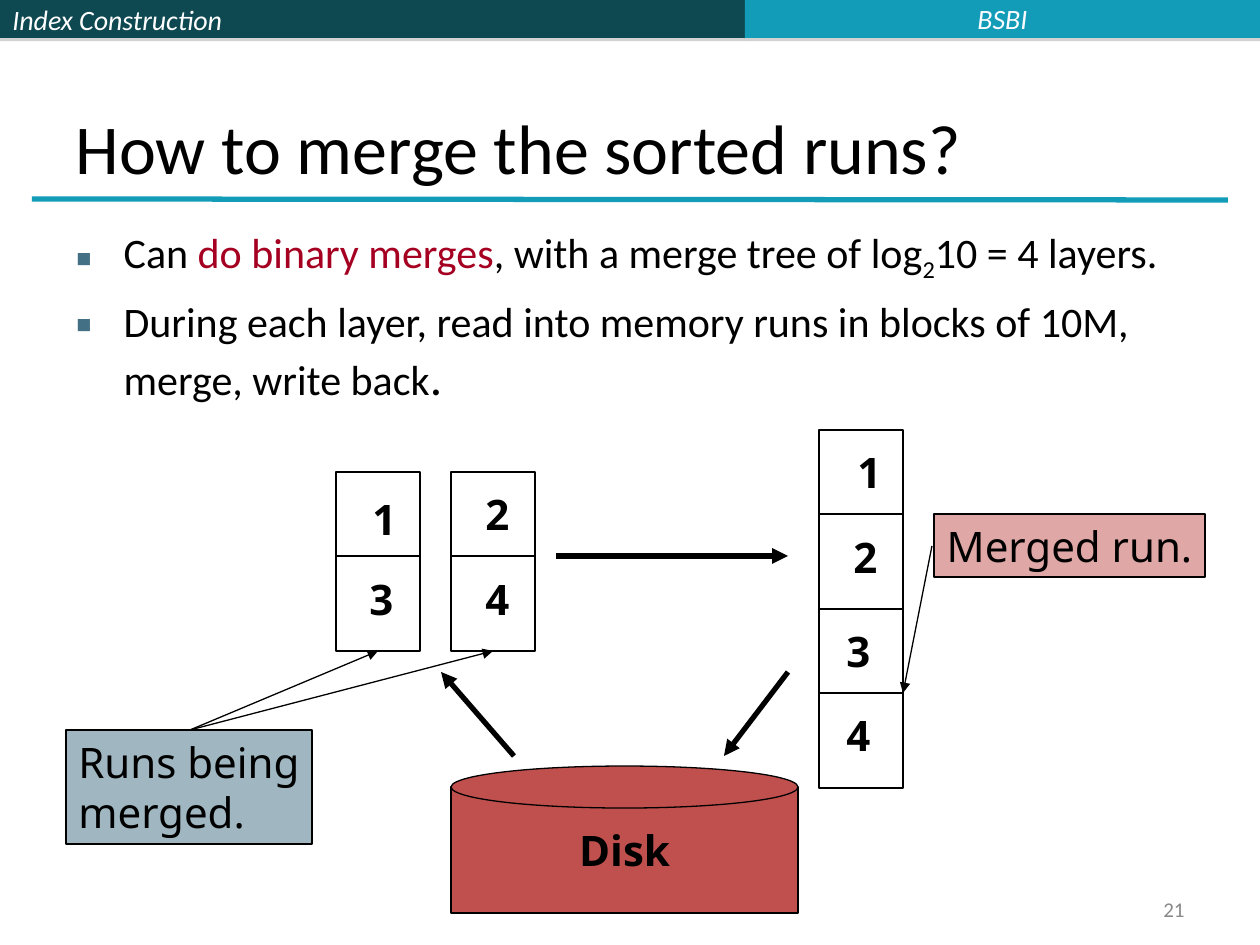
from lxml import etree
from pptx import Presentation
from pptx.dml.color import RGBColor
from pptx.enum.shapes import MSO_CONNECTOR, MSO_SHAPE
from pptx.enum.text import MSO_ANCHOR, MSO_AUTO_SIZE, PP_ALIGN
from pptx.oxml.ns import qn
from pptx.util import Emu, Pt

RECTANGLE, OVAL = MSO_SHAPE.RECTANGLE, MSO_SHAPE.OVAL
STRAIGHT = MSO_CONNECTOR.STRAIGHT
LEFT, CENTER, RIGHT = PP_ALIGN.LEFT, PP_ALIGN.CENTER, PP_ALIGN.RIGHT
MIDDLE, TOP, BOTTOM = MSO_ANCHOR.MIDDLE, MSO_ANCHOR.TOP, MSO_ANCHOR.BOTTOM
NO_AUTOFIT = MSO_AUTO_SIZE.NONE

BLACK, WHITE, GREY = "000000", "FFFFFF", "898989"
DARK_TEAL, TEAL, SLATE = "0E4851", "139CB7", "437085"
RED, CRIMSON, HEADER_TEXT = "C0504D", "A50021", "FBFCFF"
HEADING_FONT, DIAGRAM_FONT = "Calibri", "Noto Sans"

# Content; lengths are px, 126 to the inch
TITLE = "How to merge the sorted runs?"
BULLETS = [  # paragraphs of (text, size, colour, baseline in 1/1000 %)
    [("Can ", 24, BLACK, 0), ("do binary merges", 24, CRIMSON, 0),
     (", with a merge tree of log", 24, BLACK, 0), ("2", 24, BLACK, -25000),
     ("10 = 4 layers.", 24, BLACK, 0)],
    [("During each layer, read into memory runs in blocks of 10M, merge, write back",
      24, BLACK, 0), (".", 28, BLACK, 0)],
]
HEADER_BARS = [(0, 514, DARK_TEAL), (514, 231, DARK_TEAL), (745, 515, TEAL)]
RUN_WIDTH, RUN_HEIGHT, CELL_HEIGHT = 84, 179, 84
RUNS = [  # left, top, cells of (text, centre x, centre y)
    (336, 472, [("1", 384, 519), ("3", 381, 599)]),
    (451, 472, [("2", 497, 514), ("4", 497, 599)]),
    (819, 430, [("1", 869, 472), ("2", 865, 557)]),
    (819, 609, [("3", 858, 651), ("4", 858, 735)]),
]
CALLOUTS = [  # text, box, fill, alignment
    ("Runs being\nmerged.", (66, 730, 246, 114), SLATE, LEFT),
    ("Merged run.", (934, 514, 271, 63), RED, CENTER),
]
FLOW_ARROWS = [(514, 756, 441, 672), (556, 556, 788, 556), (788, 672, 724, 756)]
CALLOUT_ARROWS = [(190, 730, 378, 651), (190, 730, 493, 651), (932, 546, 903, 693)]


def px(length):
    return Emu(round(length * 914400 / 126))


def rgb(color):
    return RGBColor.from_string(color)


def place(shape, box):
    shape.left, shape.top, shape.width, shape.height = map(px, box)


def style_run(run, size, color, font, bold=None, italic=None):
    run.font.size, run.font.name = Pt(size), font
    run.font.color.rgb = rgb(color)
    run.font.bold, run.font.italic = bold, italic


def set_text(shape, text, size, color, font, align, wrap=False, bold=None, italic=None):
    frame = shape.text_frame
    frame.text = text
    frame.word_wrap = wrap
    frame.vertical_anchor = MIDDLE
    for paragraph in frame.paragraphs:
        paragraph.alignment = align
        for run in paragraph.runs:
            style_run(run, size, color, font, bold, italic)


def add_block(kind, box, fill, outlined=True, alpha=None):
    shape = slide.shapes.add_shape(kind, *map(px, box))
    shape.fill.solid()
    shape.fill.fore_color.rgb = rgb(fill)
    if alpha:
        color = shape.fill._xPr.find(".//" + qn("a:srgbClr"))
        etree.SubElement(color, qn("a:alpha"), val=str(alpha * 1000))
    if outlined:
        shape.line.color.rgb = rgb(BLACK)
        shape.line.width = Pt(0.75)
    else:
        shape.line.fill.background()
    shape.shadow.inherit = False
    return shape


def add_label(box, *text_style, **options):
    label = slide.shapes.add_textbox(*map(px, box))
    set_text(label, *text_style, **options)


def add_line(points, width=0.75, color=BLACK, arrow=False):
    line = slide.shapes.add_connector(STRAIGHT, *map(px, points))
    line.line.color.rgb = rgb(color)
    line.line.width = Pt(width)
    if arrow:
        etree.SubElement(line.line._get_or_add_ln(), qn("a:tailEnd"), type="triangle")
    etree.SubElement(line._element.spPr, qn("a:effectLst"))


def add_bar_shadow(shape):
    effects = shape._element.spPr.find(qn("a:effectLst"))
    shadow = etree.SubElement(effects, qn("a:outerShdw"), dist=str(Pt(1.8)),
                              dir="5400000", rotWithShape="0")
    color = etree.SubElement(shadow, qn("a:srgbClr"), val="808080")
    etree.SubElement(color, qn("a:alpha"), val="35000")


presentation = Presentation()
presentation.slide_width, presentation.slide_height = px(1260), px(945)
slide = presentation.slides.add_slide(presentation.slide_layouts[1])
title, body = slide.placeholders

# Header bars, title rule and page number
bars = [add_block(RECTANGLE, (left, 0, width, 38), color, outlined=False)
        for left, width, color in HEADER_BARS]
for bar in bars:
    add_bar_shadow(bar)
set_text(bars[0], "Index Construction", 16, WHITE, HEADING_FONT, LEFT, wrap=True, italic=True)
add_label((745, -5, 515, 47), "BSBI", 16, HEADER_TEXT, HEADING_FONT, CENTER,
          wrap=True, italic=True)
add_line((32, 199, 1228, 200), 3, TEAL)
add_label((903, 892, 294, 34), "21", 12, GREY, HEADING_FONT, RIGHT, wrap=True)

# Title
place(title, (63, 38, 1134, 157))
set_text(title, TITLE, 40, BLACK, HEADING_FONT, LEFT, wrap=True)
title.text_frame.vertical_anchor = BOTTOM
title.text_frame.auto_size = NO_AUTOFIT

# Bullets
place(body, (63, 220, 1134, 683))
frame = body.text_frame
frame.auto_size, frame.vertical_anchor = NO_AUTOFIT, TOP
for index, pieces in enumerate(BULLETS):
    paragraph = frame.add_paragraph() if index else frame.paragraphs[0]
    paragraph.space_before = Pt(7 if index else 0)
    properties = paragraph._p.get_or_add_pPr()
    properties.set("marL", str(px(48)))
    properties.set("indent", str(-px(48)))
    bullet_color = etree.SubElement(properties, qn("a:buClr"))
    etree.SubElement(bullet_color, qn("a:srgbClr"), val=SLATE)
    etree.SubElement(properties, qn("a:buFont"), typeface=DIAGRAM_FONT)
    etree.SubElement(properties, qn("a:buChar"), char="▪")
    for text, size, color, baseline in pieces:
        run = paragraph.add_run()
        run.text = text
        style_run(run, size, color, HEADING_FONT)
        if baseline:
            run._r.get_or_add_rPr().set("baseline", str(baseline))

# Disk
disk = add_block(RECTANGLE, (451, 787, 347, 126), RED)
set_text(disk, "Disk", 24, BLACK, DIAGRAM_FONT, CENTER, bold=True)
add_block(OVAL, (451, 766, 347, 42), RED)

# Runs with their numbered blocks
for left, top, cells in RUNS:
    add_block(RECTANGLE, (left, top, RUN_WIDTH, RUN_HEIGHT), WHITE)
    divider = top + CELL_HEIGHT
    add_line((left, divider, left + RUN_WIDTH, divider))
    for text, x, y in cells:
        add_label((x - 24, y - 31, 48, 62), text, 24, BLACK, DIAGRAM_FONT, CENTER, bold=True)

# Callouts and arrows
for text, box, fill, align in CALLOUTS:
    callout = add_block(RECTANGLE, box, fill, alpha=50)
    set_text(callout, text, 24, BLACK, DIAGRAM_FONT, align)
for points in FLOW_ARROWS:
    add_line(points, 3, arrow=True)
for points in CALLOUT_ARROWS:
    add_line(points, arrow=True)

presentation.save("out.pptx")
